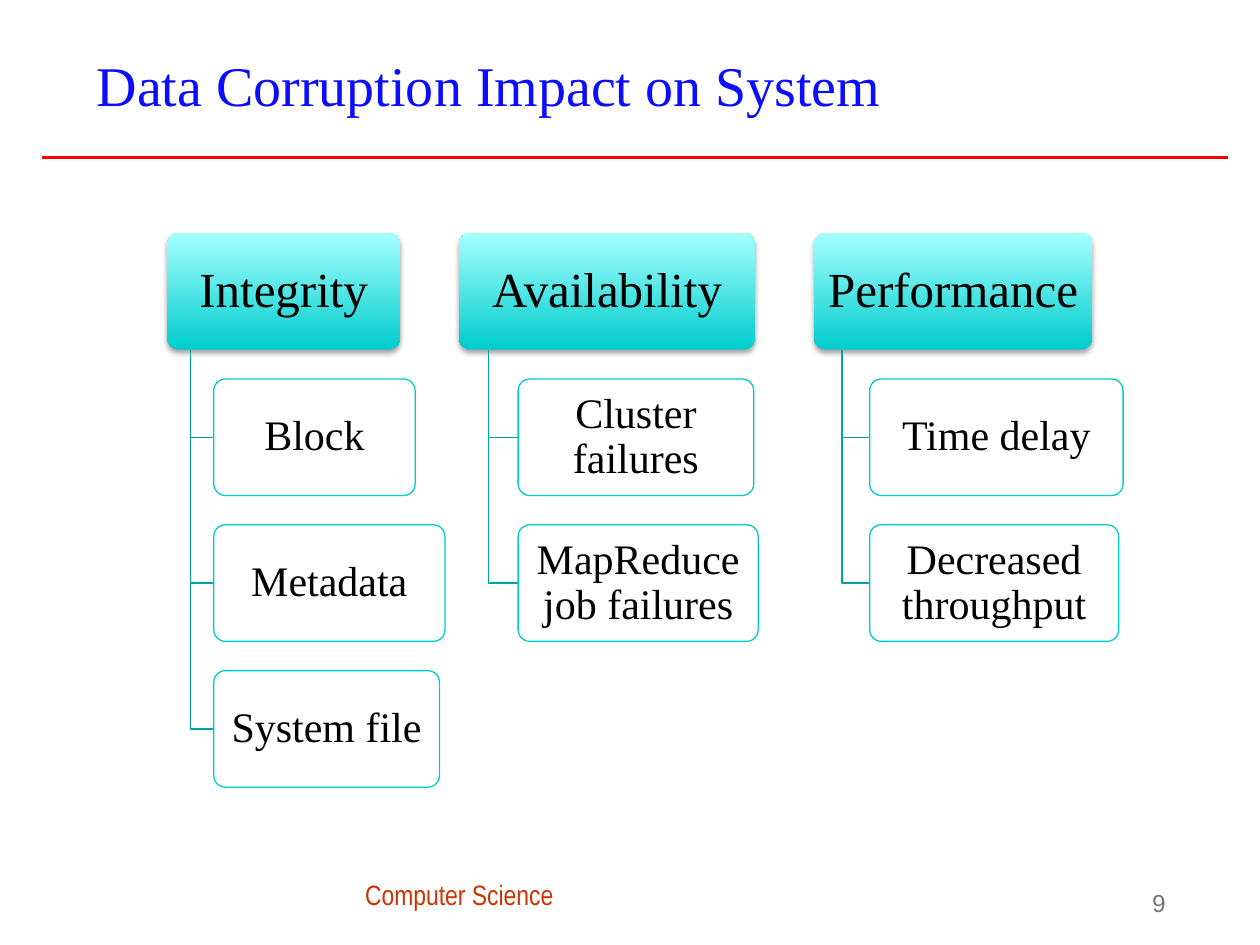
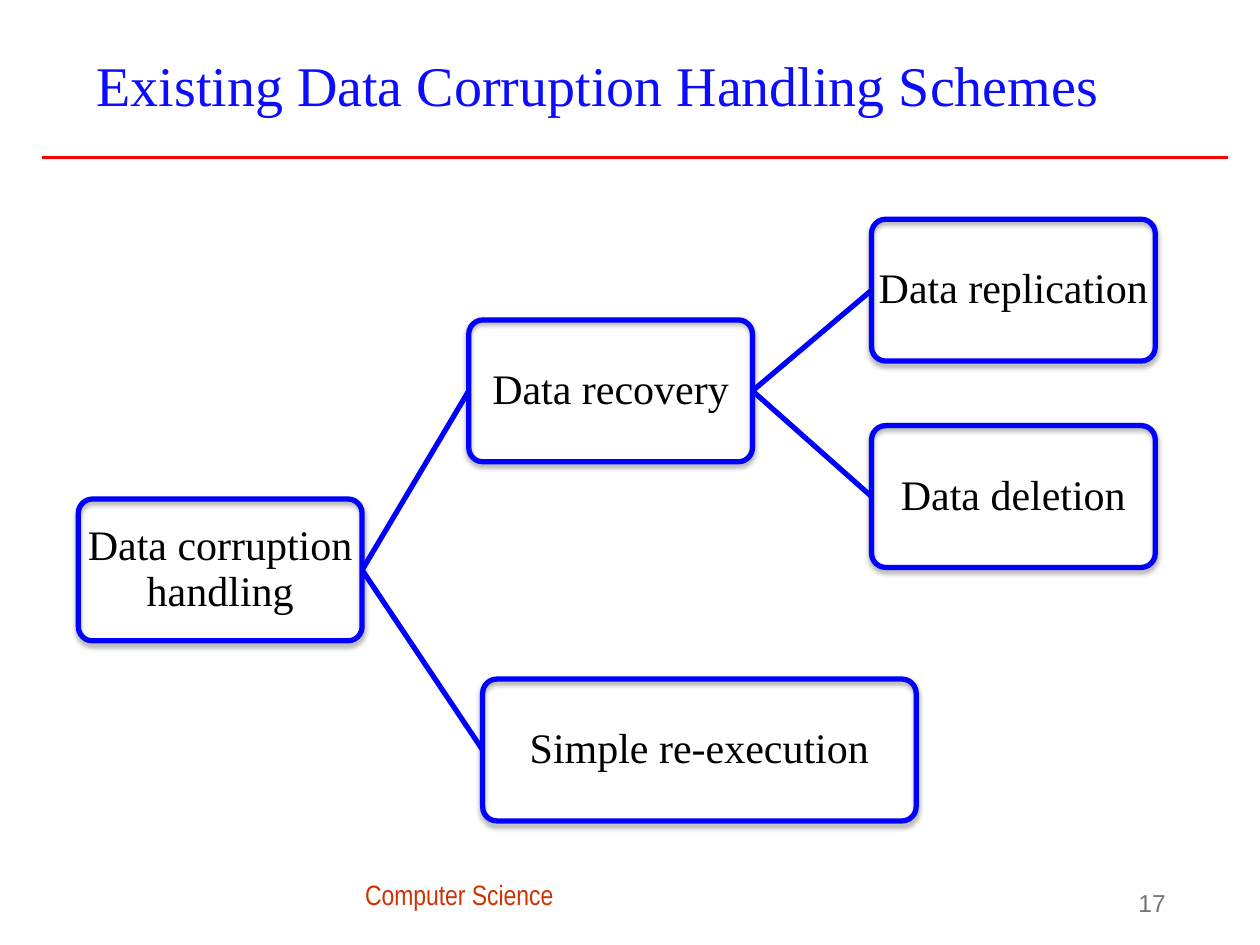
import pptx
import pptx.dml.color
import pptx.enum.shapes
import pptx.enum.text
import pptx.oxml
import pptx.oxml.ns
import pptx.util
from pptx.util import Cm, Pt

RGBColor = pptx.dml.color.RGBColor
PP_ALIGN = pptx.enum.text.PP_ALIGN
MSO_ANCHOR = pptx.enum.text.MSO_ANCHOR
MSO_SHAPE = pptx.enum.shapes.MSO_SHAPE
STRAIGHT = pptx.enum.shapes.MSO_CONNECTOR.STRAIGHT

BLACK = RGBColor(0x00, 0x00, 0x00)
WHITE = RGBColor(0xFF, 0xFF, 0xFF)
TITLE_BLUE = RGBColor(0x0C, 0x0C, 0xFF)
RULE_RED = RGBColor(0xFF, 0x00, 0x00)
FOOTER_RUST = RGBColor(0xCC, 0x33, 0x00)
NUMBER_GREY = RGBColor(0x77, 0x77, 0x77)
TEAL = RGBColor(0x00, 0xCC, 0xCC)
PALE_TEAL = RGBColor(0xA5, 0xFF, 0xFF)
BRANCH_TEAL = RGBColor(0x00, 0xA3, 0xA3)
SCHEME_BLUE = RGBColor(0x00, 0x00, 0xFF)

SERIF = "Times New Roman"
FOOTER = "Computer Science"

# Lengths below are in centimetres.
IMPACT_TITLE = "Data Corruption Impact on System"
IMPACTS = [  # heading, left, width, [(effect, width)]
    ("Integrity", 3.37, 4.7,
     [("Block", 4.06), ("Metadata", 4.66), ("System file", 4.55)]),
    ("Availability", 9.25, 5.98,
     [("Cluster failures", 4.75), ("MapReduce job failures", 4.84)]),
    ("Performance", 16.41, 5.61,
     [("Time delay", 5.11), ("Decreased throughput", 5.02)]),
]
IMPACT_TOP, IMPACT_HEIGHT, IMPACT_PITCH = 4.7, 2.35, 2.94

SCHEMES_TITLE = "Existing Data Corruption Handling Schemes"
SCHEMES = [  # name, parent, left, top, width
    ("Data corruption handling", None, 1.58, 10.06, 5.72),
    ("Data recovery", "Data corruption handling", 9.45, 6.45, 5.72),
    ("Data replication", "Data recovery", 17.57, 4.42, 5.72),
    ("Data deletion", "Data recovery", 17.57, 8.58, 5.72),
    ("Simple re-execution", "Data corruption handling", 9.73, 13.69, 8.74),
]
SCHEME_HEIGHT = 2.86


def write(shape, text, size, color, font=SERIF, align=PP_ALIGN.LEFT,
          anchor=MSO_ANCHOR.MIDDLE, inset=(0.25, 0.13), spacing=None):
    """Fill a shape with one paragraph; inset is (sides, top and bottom)."""
    frame = shape.text_frame
    frame.word_wrap = True
    frame.vertical_anchor = anchor
    frame.margin_left = frame.margin_right = Cm(inset[0])
    frame.margin_top = frame.margin_bottom = Cm(inset[1])
    paragraph = frame.paragraphs[0]
    paragraph.text = text
    paragraph.alignment = align
    paragraph.line_spacing = spacing
    paragraph.font.name = font
    paragraph.font.size = Pt(size)
    paragraph.font.color.rgb = color


def write_label(shape, text, size, inset):
    write(shape, text, size, BLACK, align=PP_ALIGN.CENTER, inset=inset,
          spacing=0.9)


def add_text(slide, box, text, size, color, **style):
    shape = slide.shapes.add_textbox(*map(Cm, box))
    write(shape, text, size, color, **style)


def add_line(slide, start, end, color, width):
    connector = slide.shapes.add_connector(STRAIGHT, *map(Cm, start + end))
    connector.line.color.rgb = color
    connector.line.width = Pt(width)
    properties = connector._element.spPr
    properties.append(pptx.oxml.parse_xml(
        f'<a:effectLst {pptx.oxml.ns.nsdecls("a")}/>'))
    return connector


def add_shadow(shape):
    effects = shape._element.spPr.find(pptx.oxml.ns.qn("a:effectLst"))
    effects.append(pptx.oxml.parse_xml(
        f'<a:outerShdw {pptx.oxml.ns.nsdecls("a")} blurRad="39370" '
        'dist="22860" dir="5400000" rotWithShape="0">'
        '<a:srgbClr val="000000"><a:alpha val="35000"/></a:srgbClr>'
        '</a:outerShdw>'))


def add_box(slide, box):
    shape = slide.shapes.add_shape(MSO_SHAPE.ROUNDED_RECTANGLE, *map(Cm, box))
    shape.adjustments[0] = 0.1
    shape.shadow.inherit = False
    return shape


def add_heading(slide, box, text):
    shape = add_box(slide, box)
    write_label(shape, text, 28, (0.15, 0.1))
    shape.fill.gradient()
    shape.fill.gradient_angle = 90
    for stop, color in zip(shape.fill.gradient_stops, (TEAL, PALE_TEAL)):
        stop.color.rgb = color
    shape.line.fill.background()
    add_shadow(shape)


def add_effect(slide, box, text):
    shape = add_box(slide, box)
    write_label(shape, text, 24, (0.13, 0.08))
    shape.fill.solid()
    shape.fill.fore_color.rgb = WHITE
    shape.line.color.rgb = TEAL
    shape.line.width = Pt(0.75)


def add_scheme(slide, box, text):
    """Add an unfilled box, its label apart so that only the box has a shadow."""
    shape = add_box(slide, box)
    shape.fill.background()
    shape.line.color.rgb = SCHEME_BLUE
    shape.line.width = Pt(3)
    add_shadow(shape)
    label = slide.shapes.add_textbox(*map(Cm, box))
    write_label(label, text, 24, (0.13, 0.13))
    return shape


def add_branch(slide, trunk, top, end, middle):
    """Draw an elbow down the trunk and across to the side of an effect."""
    builder = slide.shapes.build_freeform(Cm(trunk), Cm(top))
    builder.add_line_segments(
        [(Cm(trunk), Cm(middle)), (Cm(end), Cm(middle))], close=False)
    shape = builder.convert_to_shape()
    shape.shadow.inherit = False
    shape.fill.background()
    shape.line.color.rgb = BRANCH_TEAL
    shape.line.width = Pt(0.75)


def add_slide(presentation, title, number):
    slide = presentation.slides.add_slide(presentation.slide_layouts[6])
    add_text(slide, (7.11, 17.56, 4.32, 0.94), FOOTER, 16, FOOTER_RUST,
             font="Arial Narrow", anchor=MSO_ANCHOR.TOP)
    add_line(slide, (0.84, 3.17), (24.76, 3.17), RULE_RED, 1.5)
    add_text(slide, (1.7, 0.43, 22.89, 2.54), title, 32, TITLE_BLUE,
             inset=(0.25, 0.25))
    add_text(slide, (18.47, 17.78, 5.28, 0.84), str(number), 14, NUMBER_GREY,
             font="Arial", align=PP_ALIGN.RIGHT)
    return slide


def draw_impacts(slide):
    for heading, left, width, effects in IMPACTS:
        add_heading(slide, (left, IMPACT_TOP, width, IMPACT_HEIGHT), heading)
        trunk, effect_left = left + 0.1 * width, left + 0.2 * width
        for row, (effect, effect_width) in enumerate(effects, start=1):
            top = IMPACT_TOP + row * IMPACT_PITCH
            add_branch(slide, trunk, IMPACT_TOP + IMPACT_HEIGHT,
                       effect_left, top + IMPACT_HEIGHT / 2)
            add_effect(slide, (effect_left, top, effect_width, IMPACT_HEIGHT),
                       effect)


def draw_schemes(slide):
    boxes = {}
    for name, parent, left, top, width in SCHEMES:
        boxes[name] = add_scheme(slide, (left, top, width, SCHEME_HEIGHT), name)
        if parent:
            link = add_line(slide, (0, 0), (1, 1), SCHEME_BLUE, 3)
            link.begin_connect(boxes[parent], 3)
            link.end_connect(boxes[name], 1)


def main():
    presentation = pptx.Presentation()
    presentation.slide_width, presentation.slide_height = Cm(25.4), Cm(19.05)
    draw_impacts(add_slide(presentation, IMPACT_TITLE, 9))
    draw_schemes(add_slide(presentation, SCHEMES_TITLE, 17))
    presentation.save("out.pptx")


if __name__ == "__main__":
    main()
